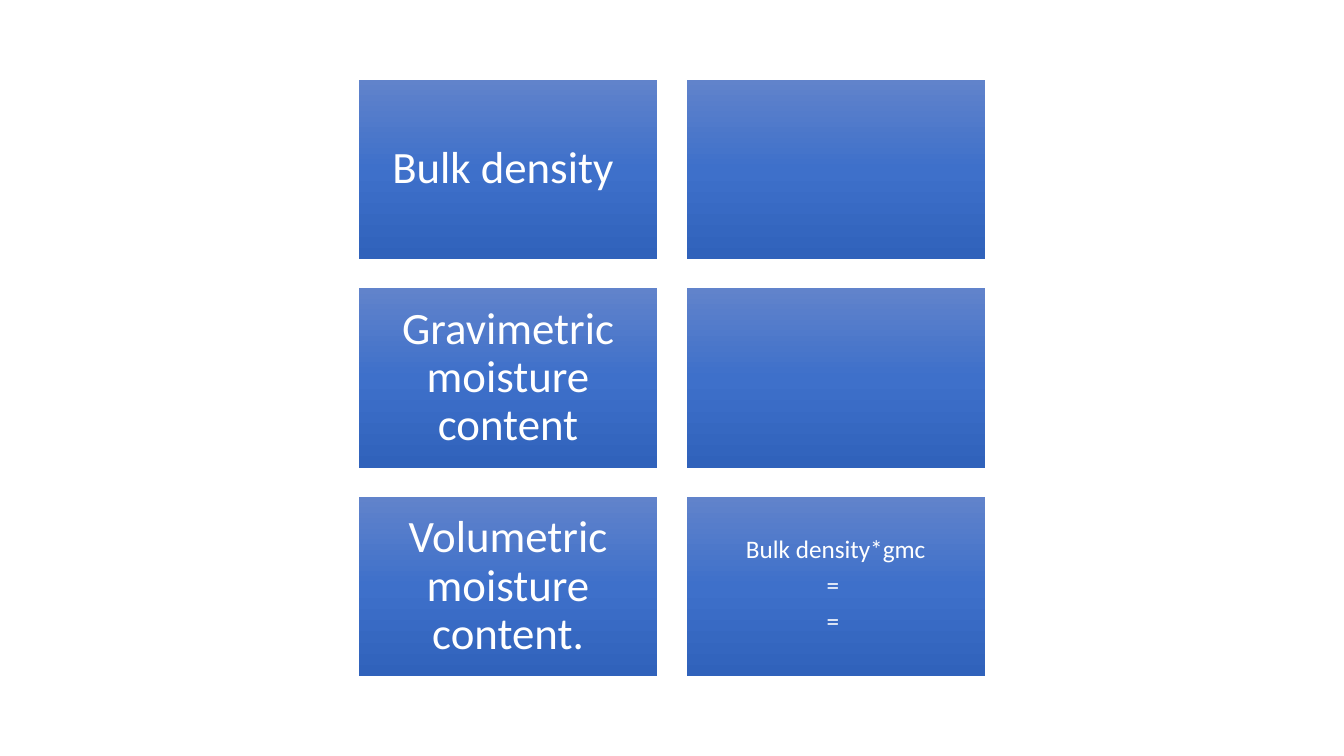
"""Slide with a two-column grid of soil moisture terms and formulas."""
from copy import deepcopy
from dataclasses import dataclass

from pptx import Presentation
from pptx.dml.color import RGBColor
from pptx.enum.shapes import MSO_SHAPE
from pptx.enum.text import MSO_ANCHOR, PP_ALIGN
from pptx.oxml.ns import qn
from pptx.util import Inches, Pt

RECTANGLE = MSO_SHAPE.RECTANGLE
MIDDLE = MSO_ANCHOR.MIDDLE
CENTER = PP_ALIGN.CENTER

LEFT, TOP = 3.56, 0.79
WIDTH, HEIGHT, GAP = 2.96, 1.78, 0.29
ROWS = [
    ("Bulk density ", ""),
    ("Gravimetric moisture content", ""),
    ("Volumetric moisture content.", "Bulk density*gmc\n= \n= "),
]


@dataclass(frozen=True)
class Theme:
    """Colours and type sizes of the slide."""
    font: str = "Calibri"
    text: str = "FFFFFF"
    gradient: tuple = ((0, "6183CB"), (0.5, "3E70CA"), (1, "3062BB"))
    term_size: int = 32
    formula_size: int = 18


def write_text(frame, text, *, size, font, color, inset):
    """Write centred lines of text into a text frame."""
    frame.word_wrap = True
    frame.vertical_anchor = MIDDLE
    frame.margin_left = frame.margin_right = Inches(inset)
    frame.margin_top = frame.margin_bottom = Inches(inset)
    for index, line in enumerate(text.split("\n")):
        para = frame.add_paragraph() if index else frame.paragraphs[0]
        para.alignment = CENTER
        para.line_spacing = 0.9
        para.space_after = Pt(0.35 * size)
        span = para.add_run()
        span.text = line
        span.font.size = Pt(size)
        span.font.name = font
        span.font.color.rgb = RGBColor.from_string(color)


class Page:
    """Draws styled elements on one slide."""

    def __init__(self, slide, theme):
        self.slide = slide
        self.theme = theme

    def box(self, left, top, width, height):
        """Add a borderless rectangle with the vertical gradient."""
        shape = self.slide.shapes.add_shape(
            RECTANGLE, Inches(left), Inches(top), Inches(width), Inches(height))
        shape.shadow.inherit = False
        shape.line.fill.background()
        shape.fill.gradient()
        shape.fill.gradient_angle = 270
        stop_list = next(shape.element.iter(qn("a:gsLst")))
        stop_list.append(deepcopy(stop_list[-1]))
        for stop, (position, color) in zip(shape.fill.gradient_stops, self.theme.gradient):
            stop.position = position
            stop.color.rgb = RGBColor.from_string(color)
        return shape

    def label(self, shape, text, size, inset):
        """Write text into a box in the theme's style."""
        write_text(shape.text_frame, text, size=size, font=self.theme.font,
                   color=self.theme.text, inset=inset)


def main():
    """Build and save the deck."""
    deck = Presentation()
    deck.slide_width, deck.slide_height = Inches(13.33), Inches(7.5)
    theme = Theme()
    page = Page(deck.slides.add_slide(deck.slide_layouts[6]), theme)
    columns = ((theme.term_size, 0.13), (theme.formula_size, 0.07))
    for row, texts in enumerate(ROWS):
        for column, (text, (size, inset)) in enumerate(zip(texts, columns)):
            box = page.box(LEFT + column * (WIDTH + GAP), TOP + row * (HEIGHT + GAP),
                           WIDTH, HEIGHT)
            if text:
                page.label(box, text, size, inset)
    deck.save("out.pptx")


if __name__ == "__main__":
    main()
